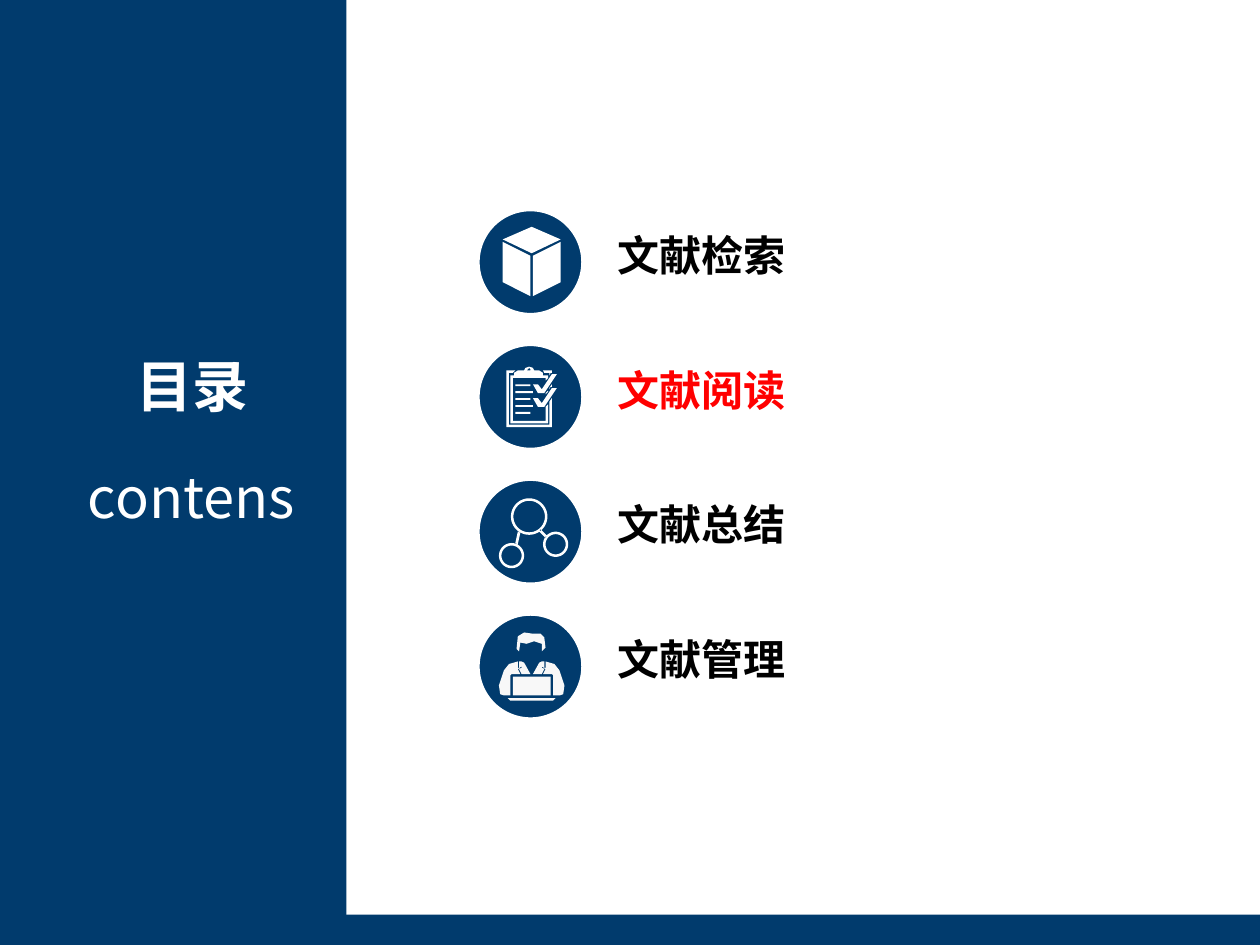
from math import cos, pi, sin

from pptx import Presentation
from pptx.dml.color import RGBColor
from pptx.enum.shapes import MSO_SHAPE as Shape
from pptx.enum.text import MSO_ANCHOR as Anchor, MSO_AUTO_SIZE as AutoSize, PP_ALIGN as Align
from pptx.oxml.xmlchemy import OxmlElement
from pptx.util import Inches, Pt

FONT = "Noto Sans CJK SC"
NAVY, WHITE, BLACK, RED = "013B6D", "FFFFFF", "000000", "FF0000"


def color(value):
    return RGBColor.from_string(value)


def write_text(shape, text, size=24, fill=BLACK, bold=False, align=Align.LEFT):
    frame = shape.text_frame
    frame.word_wrap = False
    frame.auto_size = AutoSize.SHAPE_TO_FIT_TEXT
    frame.vertical_anchor = Anchor.TOP
    paragraph = frame.paragraphs[0]
    paragraph.alignment = align
    run = paragraph.add_run()
    run.text = text
    run.font.name = FONT
    run.font.size = Pt(size)
    run.font.bold = bold
    run.font.color.rgb = color(fill)
    east_asian = OxmlElement("a:ea")
    east_asian.set("typeface", FONT)
    run._r.get_or_add_rPr().append(east_asian)


# Icon geometry, in inches from the top left of a badge
def rectangle(left, top, right, bottom):
    return [(left, top), (right, top), (right, bottom), (left, bottom)]


def ring(x, y, radius, thickness=0.02, steps=48):
    angles = [2 * pi * step / steps for step in range(steps)]
    return [[(x + r * cos(a), y + r * sin(a)) for a in angles]
            for r in (radius, radius - thickness)]


def mirrored(outline, axis=0.42):
    return [(2 * axis - x, y) for x, y in outline]


def cube_icon():
    return [
        [(.65, .57), (.43, .68), (.43, .36), (.65, .25)],
        [(.41, .36), (.19, .25), (.19, .57), (.41, .68)],
        [(.42, .13), (.19, .23), (.42, .34), (.65, .23)],
    ]


def clipboard_icon():
    check = [(.62, .23), (.52, .38), (.47, .38), (.43, .31), (.47, .31), (.5, .35), (.58, .23)]
    outer_frame = [(.56, .63), (.24, .63), (.24, .22), (.27, .22), (.29, .2), (.22, .2),
                   (.22, .65), (.58, .65), (.58, .42), (.56, .45)]
    inner_frame = [(.53, .6), (.27, .6), (.27, .26), (.53, .26), (.53, .28), (.55, .26),
                   (.55, .24), (.25, .24), (.25, .62), (.55, .62), (.55, .47), (.53, .49)]
    clip = [(.28, .22), (.31, .2), (.36, .2), (.37, .18), (.4, .17), (.43, .18), (.44, .2),
            (.48, .2), (.51, .22), (.51, .24), (.28, .24)]
    clip_hole = [(.38, .2), (.41, .2), (.41, .19), (.4, .18)]
    corner = [(.57, .22), (.58, .22), (.58, .2), (.51, .2), (.52, .22), (.56, .22), (.56, .24)]
    outer_gap = [(.56, .35), (.57, .33), (.58, .33), (.58, .31), (.56, .34)]
    inner_gap = [(.55, .36), (.53, .38), (.53, .39), (.55, .37)]
    lines = []
    for row in range(5):
        top = 0.31 + 0.055 * row
        lines.append(rectangle(.29, top, .43 if row % 2 else .41, top + 0.015))
    checks = [check, [(x, y + 0.11) for x, y in check]]
    return [outer_frame, inner_frame, clip, clip_hole, corner,
            outer_gap, inner_gap, *lines, *checks]


def network_icon():
    links = [
        [(.31, .41), (.33, .42), (.31, .51), (.29, .5)],
        [(.49, .39), (.54, .44), (.53, .46), (.48, .41)],
    ]
    return [*ring(.4, .29, .145), *ring(.26, .6, .1), *ring(.61, .51, .1), *links]


def worker_icon():
    hair = [(.32, .29), (.33, .22), (.38, .23), (.44, .21), (.5, .23), (.5, .29), (.53, .26),
            (.52, .18), (.49, .15), (.43, .15), (.36, .14), (.31, .17), (.3, .27)]
    arm = [(.25, .64), (.2, .64), (.17, .63), (.16, .56), (.2, .44), (.24, .39), (.31, .37),
           (.31, .42), (.33, .42), (.31, .43), (.33, .47), (.26, .47), (.25, .48)]
    lapel = [(.32, .37), (.32, .42), (.34, .41), (.34, .42), (.32, .43), (.34, .47),
             (.41, .47), (.36, .38), (.34, .37)]
    screen = rectangle(.27, .49, .57, .64)
    base = [(.23, .66), (.61, .66), (.59, .68), (.25, .68)]
    return [hair, arm, mirrored(arm), lapel, mirrored(lapel), screen, base]


class SlideBuilder:
    def __init__(self, slide):
        self.slide = slide

    def paint(self, shape, fill, line=None):
        shape.shadow.inherit = False
        shape.fill.solid()
        shape.fill.fore_color.rgb = color(fill)
        if line:
            shape.line.color.rgb = color(line)
            shape.line.width = Pt(1)
        else:
            shape.line.fill.background()
        return shape

    def shape(self, kind, left, top, width, height, fill, line=None):
        shape = self.slide.shapes.add_shape(
            kind, Inches(left), Inches(top), Inches(width), Inches(height))
        return self.paint(shape, fill, line)

    def title(self, text, left, top, width, height, above, **style):
        title = self.slide.shapes.title
        title.left, title.top = Inches(left), Inches(top)
        title.width, title.height = Inches(width), Inches(height)
        above.element.addnext(title.element)
        write_text(title, text, **style)

    def text(self, text, left, top, width, height, **style):
        box = self.slide.shapes.add_textbox(
            Inches(left), Inches(top), Inches(width), Inches(height))
        write_text(box, text, **style)

    def icon(self, outlines, left, top, fill):
        placed = [[(Inches(left + x), Inches(top + y)) for x, y in outline]
                  for outline in outlines]
        builder = self.slide.shapes.build_freeform(*placed[0][0])
        for index, (start, *rest) in enumerate(placed):
            if index:
                builder.move_to(*start)
            builder.add_line_segments(rest, close=True)
        self.paint(builder.convert_to_shape(), fill)


def main():
    presentation = Presentation()
    presentation.slide_width, presentation.slide_height = Inches(10), Inches(7.5)
    slide = presentation.slides.add_slide(presentation.slide_layouts[5])
    builder = SlideBuilder(slide)

    # Bottom bar and side panel with the heading
    builder.shape(Shape.RECTANGLE, 0.93, 7.26, 9.07, 0.24, NAVY)
    panel = builder.shape(Shape.RECTANGLE, 0, 0, 2.75, 7.5, NAVY)
    heading = dict(size=32, fill=WHITE, align=Align.CENTER)
    builder.title("目录", 0.98, 2.74, 1.09, 0.64, above=panel, bold=True, **heading)
    builder.text("contens", 0.59, 3.62, 1.86, 0.64, **heading)

    # Agenda rows: badge, icon and label
    rows = [
        ("文献检索", BLACK, cube_icon(), WHITE),
        ("文献阅读", RED, clipboard_icon(), WHITE),
        ("文献总结", BLACK, network_icon(), WHITE),
        ("文献管理", BLACK, worker_icon(), "F8F8F8"),
    ]
    badge_left, first_top, pitch, badge_size = 3.8, 1.67, 1.07, 0.82
    for index, (label, label_color, outlines, icon_color) in enumerate(rows):
        top = first_top + pitch * index
        builder.shape(Shape.OVAL, badge_left, top, badge_size, badge_size, NAVY, line=WHITE)
        builder.icon(outlines, badge_left, top, icon_color)
        builder.text(label, 4.8, top + 0.1, 1.53, 0.5, fill=label_color, bold=True)

    presentation.save("out.pptx")


if __name__ == "__main__":
    main()
